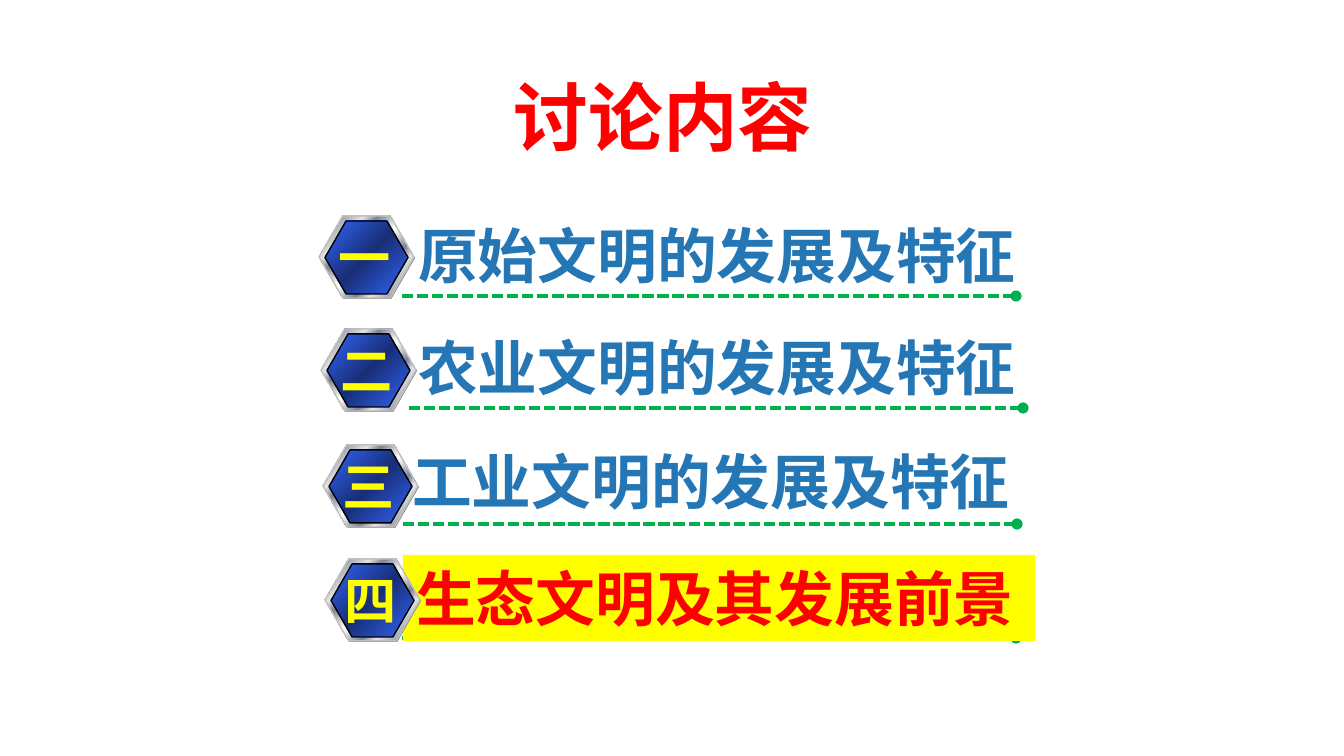
from lxml.etree import SubElement
from pptx import Presentation
from pptx.dml.color import RGBColor
from pptx.enum.dml import MSO_LINE_DASH_STYLE as Dash
from pptx.enum.shapes import MSO_CONNECTOR as Connector, MSO_SHAPE as Shape
from pptx.enum.text import MSO_ANCHOR as Anchor, PP_ALIGN as Align
from pptx.oxml.ns import qn
from pptx.util import Pt

EMU_PER_PX = 914400 / 134.4
FONT = "Noto Sans CJK SC"
COLORS = {
    "title": "FF0000", "topic": "2476B5", "number": "FFFF00",
    "highlight": "FFFF00", "current": "FF0000", "rule": "00B050",
    "shade": "808080", "rim": "C0C0C0", "edge": "000000",
}
METAL = [(0, "E6E6E6"), (8, "7D8496"), (26, "E6E6E6"), (34, "7D8496"),
         (46, "E6E6E6"), (50, "FFFFFF"), (54, "E6E6E6"), (66, "7D8496"),
         (74, "E6E6E6"), (92, "7D8496"), (100, "E6E6E6")]
BLUE = [(0, "3366FF"), (50, "182F76"), (100, "3366FF")]

# number, topic, badge top, topic left and top, rule left and top
ROWS = [
    ("一", "原始文明的发展及特征", 216, (405, 212), (402, 296)),
    ("二", "农业文明的发展及特征", 329, (405, 324), (409, 408)),
    ("三", "工业文明的发展及特征", 445, (399, 438), (403, 524)),
    ("四", "生态文明及其发展前景", 559, (403, 555), (402, 638)),
]
CURRENT_ROW = 3
BADGE_LEFT, BADGE_STEP = 319, 2
TOPIC_SIZE = (632, 86)
RULE_LENGTH = 614


def px(*lengths):
    return [round(length * EMU_PER_PX) for length in lengths]


def color(name):
    return RGBColor.from_string(COLORS[name])


def apply(target, **values):
    for name, value in values.items():
        setattr(target, name, value)


def write(box, text, size, ink, align=Align.LEFT, **frame_values):
    frame = box.text_frame
    apply(frame, word_wrap=True, **frame_values)
    para = frame.paragraphs[0]
    para.alignment = align
    span = para.add_run()
    span.text = text
    apply(span.font, name=FONT, size=Pt(size), bold=True)
    span.font.color.rgb = color(ink)
    SubElement(span.font._element, qn("a:ea"), typeface=FONT)
    return para


def add_title(page, text):
    title = page.shapes.title
    left, top, width, height = px(218, 77, 907, 126)
    apply(title, left=left, top=top, width=width, height=height)
    para = write(title, text, 40, "title", Align.CENTER,
                 vertical_anchor=Anchor.TOP, margin_top=0)
    para.line_spacing = 0.95


def add_rule(page, left, top):
    rule = page.shapes.add_connector(
        Connector.STRAIGHT, *px(left, top, left + RULE_LENGTH, top))
    rule.line.color.rgb = color("rule")
    apply(rule.line, width=Pt(2), dash_style=Dash.SQUARE_DOT)
    SubElement(rule.line._get_or_add_ln(), qn("a:tailEnd"), type="oval")
    SubElement(rule._element.spPr, qn("a:effectLst"))


def add_topic(page, text, left, top, current):
    box = page.shapes.add_textbox(*px(left, top, *TOPIC_SIZE))
    if current:
        box.fill.solid()
        box.fill.fore_color.rgb = color("highlight")
    write(box, text, 32, "current" if current else "topic",
          vertical_anchor=Anchor.MIDDLE)


def set_gradient(fill, stops):
    """Replace the two default stops, running at 45 degrees."""
    fill.gradient()
    fill.gradient_angle = 315
    stop_list = fill.gradient_stops[0]._gs.getparent()
    for old in list(stop_list):
        stop_list.remove(old)
    for percent, value in stops:
        stop = SubElement(stop_list, qn("a:gs"), pos=str(percent * 1000))
        SubElement(stop, qn("a:srgbClr"), val=value)


def add_hexagon(group, bounds, stops=None, outline=None):
    hexagon = group.shapes.add_shape(Shape.HEXAGON, *px(*bounds))
    hexagon.shadow.inherit = False
    hexagon.adjustments[0] = 0.289
    hexagon.adjustments[1] = 1.155
    if stops:
        set_gradient(hexagon.fill, stops)
        hexagon.line.color.rgb = color(outline)
        hexagon.line.width = Pt(0.75)
    else:
        hexagon.fill.solid()
        hexagon.fill.fore_color.rgb = color("shade")
        hexagon.line.fill.background()


def add_badge(page, number, left, top):
    group = page.shapes.add_group_shape()
    add_hexagon(group, (left + 1, top + 1, 95, 82))
    add_hexagon(group, (left, top, 95, 82), METAL, "rim")
    add_hexagon(group, (left + 6, top + 5, 83, 73), BLUE, "edge")
    box = page.shapes.add_textbox(*px(left + 6, top + 2, 79, 77))
    write(box, number, 28, "number", Align.CENTER,
          vertical_anchor=Anchor.MIDDLE, margin_left=0, margin_right=0)


def main():
    deck = Presentation()
    deck.slide_width, deck.slide_height = px(1344, 756)
    page = deck.slides.add_slide(deck.slide_layouts[5])
    add_title(page, "讨论内容 ")
    for index, (number, topic, badge_top, topic_at, rule_at) in enumerate(ROWS):
        add_rule(page, *rule_at)
        add_topic(page, topic, *topic_at, index == CURRENT_ROW)
        add_badge(page, number, BADGE_LEFT + index * BADGE_STEP, badge_top)
    deck.save("out.pptx")


if __name__ == "__main__":
    main()
